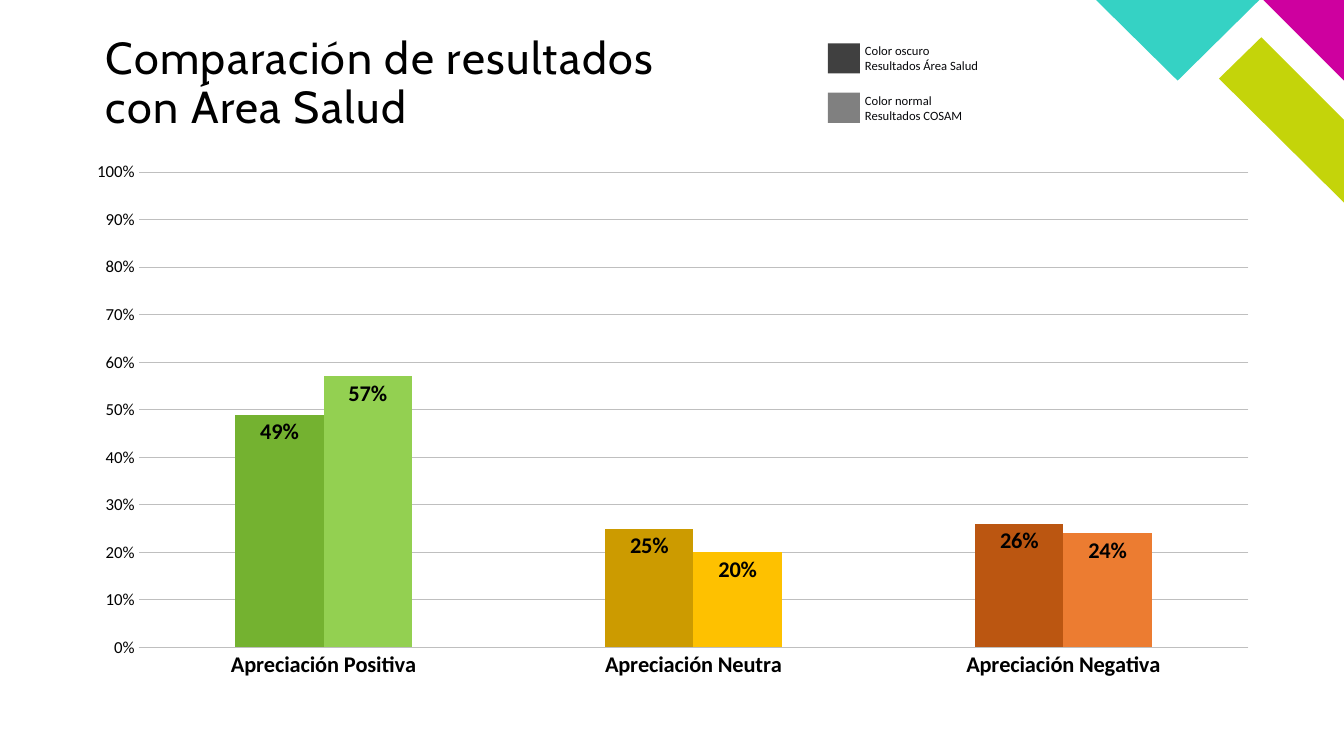
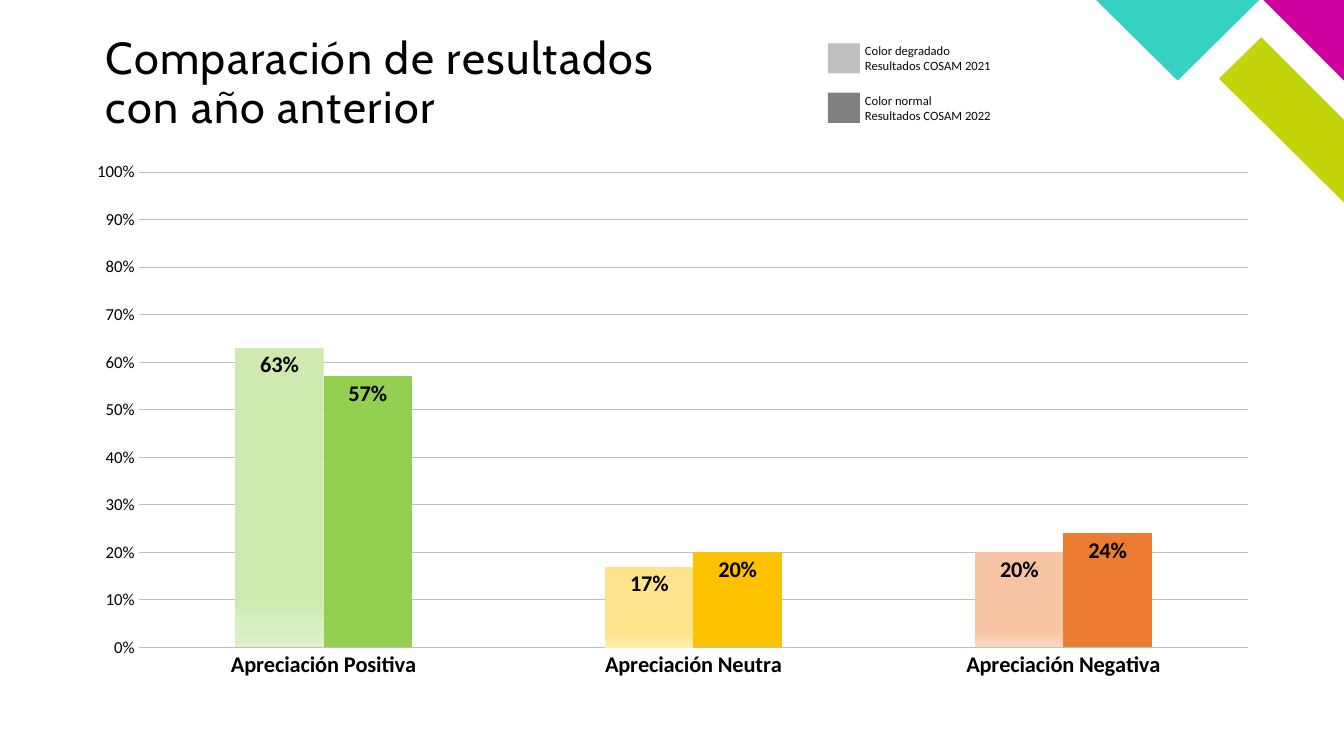
from dataclasses import dataclass

from lxml import etree
from pptx import Presentation
from pptx import slide as sl
from pptx import util as u
from pptx.chart import chart as cc
from pptx.chart import data as cd
from pptx.dml import color as dc
from pptx.dml import fill as df
from pptx.enum import chart as ec
from pptx.enum import shapes, text
from pptx.oxml import ns

# Shared look
BODY, HEAD = "Calibri", "Cabin"
BLACK, INK, RULE, GRAY = "000000", "07080B", "BFBFBF", "808080"
LIME, PINK, TEAL = "C4D40A", "CE009F", "35D2C4"
CATS = ["Apreciación Positiva", "Apreciación Neutra", "Apreciación Negativa"]
PURE = ["93D051", "FEC100", "EC7C31"]
DARK = ["74B230", "CC9B00", "BB5611"]
FADE = [("CEEAB1", "DFF1CB"), ("FFE38C", "FFEDB2"), ("F6C4A2", "F9D8C1")]
CORNER = [
    (LIME, [(13.33, 2.01), (13.33, 1.19), (12.51, 0.37), (12.09, 0.78)]),
    (PINK, [(13.33, 0.8), (13.33, 0), (12.53, 0)]),
    (TEAL, [(10.87, 0), (11.68, 0.8), (12.49, 0)]),
]


@dataclass
class Key:
    tone: str
    lines: list[str]


@dataclass
class Bars:
    name: str
    base: str
    vals: list[float]
    tones: list[str] | list[tuple[str, str]]


@dataclass
class Page:
    title: str
    keys: list[Key]
    bars: list[Bars]


COSAM = Bars("Series 2", "C3D600", [0.57, 0.2, 0.24], PURE)
PAGES = [
    Page("Comparación de resultados con Área Salud",
         [Key("404040", ["Color oscuro", "Resultados Área Salud"]),
          Key(GRAY, ["Color normal", "Resultados COSAM"])],
         [Bars("Series 1", TEAL, [0.49, 0.25, 0.26], DARK), COSAM]),
    Page("Comparación de resultados con año anterior",
         [Key(RULE, ["Color degradado", "Resultados COSAM 2021"]),
          Key(GRAY, ["Color normal", "Resultados COSAM 2022"])],
         [Bars("Series 1", TEAL, [0.63, 0.17, 0.2], FADE), COSAM]),
]


def rgb(tone: str) -> dc.RGBColor:
    return dc.RGBColor.from_string(tone)


def paint(fill: df.FillFormat, tone: str | tuple[str, str]) -> None:
    """Fill with one colour, or fade downwards between two."""
    if isinstance(tone, str):
        fill.solid()
        fill.fore_color.rgb = rgb(tone)
        return
    fill.gradient()
    fill.gradient_angle = 270
    for stop, spot, part in zip(fill.gradient_stops, (0.83, 1), tone):
        stop.position = spot
        stop.color.rgb = rgb(part)


def style(font, size: float, tone: str = BLACK, face: str = BODY,
          bold: bool = False) -> None:
    font.size, font.name, font.bold = u.Pt(size), face, bold
    font.color.rgb = rgb(tone)


# Corner shapes from the template
def draw_corner(slide: sl.Slide) -> None:
    for tone, dots in CORNER:
        ends = [(u.Inches(x), u.Inches(y)) for x, y in dots]
        pen = slide.shapes.build_freeform(*ends[0])
        pen.add_line_segments(ends[1:], close=True)
        shape = pen.convert_to_shape()
        shape.shadow.inherit = False
        paint(shape.fill, tone)
        shape.line.fill.background()


def draw_title(slide: sl.Slide, title: str) -> None:
    box = slide.shapes.add_textbox(u.Inches(1.05), u.Inches(0.36),
                                   u.Inches(5.92), u.Inches(1.14))
    frame = box.text_frame
    frame.word_wrap = True
    frame.margin_left = frame.margin_right = 0
    frame.margin_top = frame.margin_bottom = 0
    para = frame.paragraphs[0]
    para.line_spacing = 0.9
    run = para.add_run()
    run.text = title
    style(run.font, 32, face=HEAD)
    run.font._element.set("spc", "100")


# Colour key at the top
def draw_key(slide: sl.Slide, key: Key, top: float) -> None:
    chip = slide.shapes.add_shape(shapes.MSO_SHAPE.RECTANGLE, u.Inches(8.21),
                                  u.Inches(top), u.Inches(0.32), u.Inches(0.3))
    chip.shadow.inherit = False
    paint(chip.fill, key.tone)
    chip.line.fill.background()
    box = slide.shapes.add_textbox(u.Inches(8.48), u.Inches(top - 0.05),
                                   u.Inches(3.18), u.Inches(0.4))
    frame = box.text_frame
    frame.word_wrap = True
    frame.auto_size = text.MSO_AUTO_SIZE.SHAPE_TO_FIT_TEXT
    for i, line in enumerate(key.lines):
        para = frame.add_paragraph() if i else frame.paragraphs[0]
        run = para.add_run()
        run.text = line
        style(run.font, 9, INK)


def place_plot(chart: cc.Chart) -> None:
    """Fix the inner plot area as shares of the chart frame."""
    area = chart._chartSpace.find(".//" + ns.qn("c:plotArea"))
    for old in area.findall(ns.qn("c:layout")):
        area.remove(old)
    layout = etree.Element(ns.qn("c:layout"))
    area.insert(0, layout)
    manual = etree.SubElement(layout, ns.qn("c:manualLayout"))
    parts = {"layoutTarget": "inner", "xMode": "edge", "yMode": "edge",
             "x": "0.055", "y": "0.039", "w": "0.925", "h": "0.883"}
    for tag, val in parts.items():
        etree.SubElement(manual, ns.qn("c:" + tag)).set("val", val)


def draw_chart(slide: sl.Slide, bars: list[Bars]) -> None:
    data = cd.CategoryChartData(number_format="0%")
    data.categories = CATS
    for bar in bars:
        data.add_series(bar.name, bar.vals)
    chart = slide.shapes.add_chart(
        ec.XL_CHART_TYPE.COLUMN_CLUSTERED, u.Inches(0.72), u.Inches(1.5),
        u.Inches(11.9), u.Inches(5.34), data).chart
    chart.has_legend = chart.has_title = False
    style(chart.font, 10)
    place_plot(chart)

    # Axes
    cat, val = chart.category_axis, chart.value_axis
    for axis, size in ((cat, 16), (val, 12)):
        axis.major_tick_mark = axis.minor_tick_mark = ec.XL_TICK_MARK.NONE
        style(axis.tick_labels.font, size, bold=axis is cat)
    val.minimum_scale, val.maximum_scale, val.major_unit = 0, 1, 0.1
    val.tick_labels.number_format = "0%"
    val.tick_labels.number_format_is_linked = False
    val.format.line.fill.background()
    val.has_major_gridlines = True
    for line, width in ((cat.format.line, 0.75),
                        (val.major_gridlines.format.line, 0.5)):
        line.color.rgb = rgb(RULE)
        line.width = u.Pt(width)

    # Columns and labels
    plot = chart.plots[0]
    plot.gap_width, plot.overlap = 219, 0
    plot.vary_by_categories = False
    for series, bar in zip(plot.series, bars):
        paint(series.format.fill, bar.base)
        series.invert_if_negative = False
        for i, tone in enumerate(bar.tones):
            paint(series.points[i].format.fill, tone)
        labels = series.data_labels
        labels.show_value = True
        labels.position = ec.XL_LABEL_POSITION.INSIDE_END
        labels.number_format = "0%"
        labels.number_format_is_linked = False
        style(labels.font, 16, bold=True)


def main() -> None:
    deck = Presentation()
    deck.slide_width, deck.slide_height = u.Inches(13.33), u.Inches(7.5)
    for page in PAGES:
        slide = deck.slides.add_slide(deck.slide_layouts[6])
        draw_corner(slide)
        draw_title(slide, page.title)
        draw_chart(slide, page.bars)
        for i, key in enumerate(page.keys):
            draw_key(slide, key, 0.43 + 0.49 * i)
    deck.save("out.pptx")


if __name__ == "__main__":
    main()
